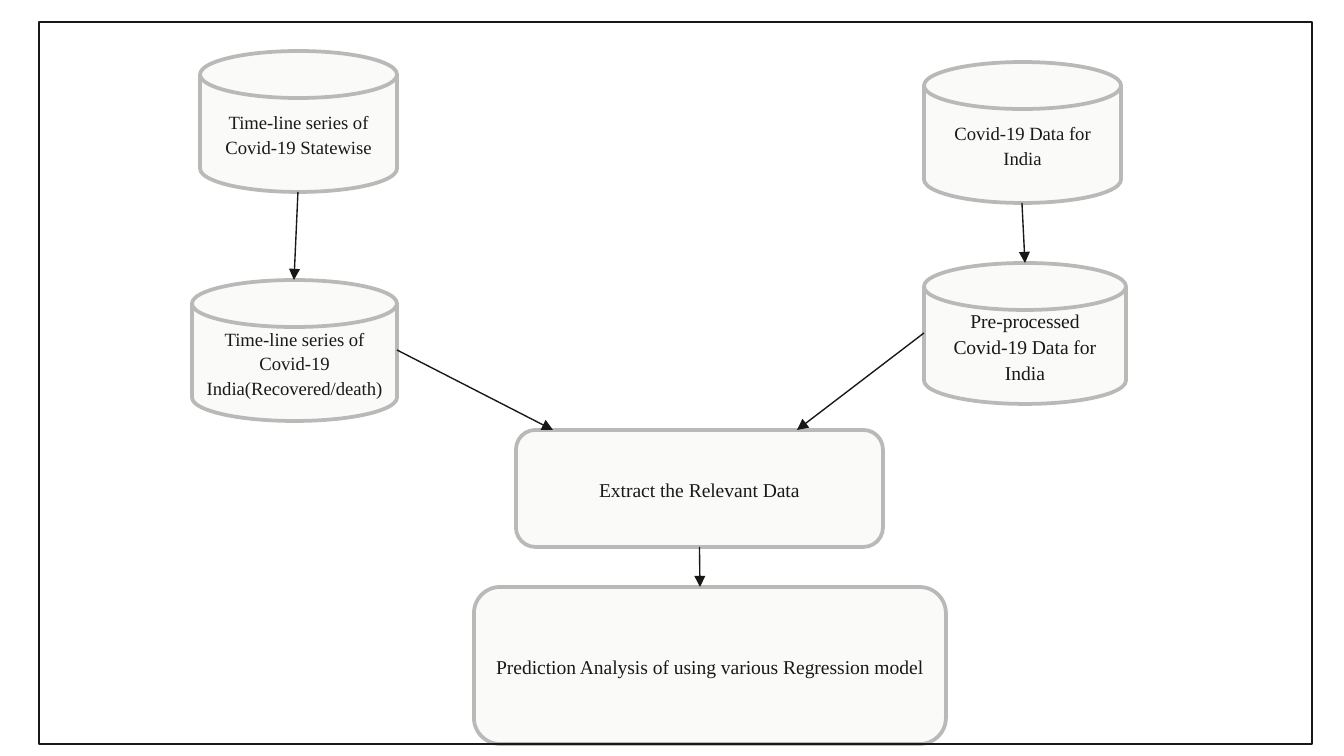
from dataclasses import dataclass

from lxml import etree
from pptx import Presentation
from pptx import util as u
from pptx.dml.color import RGBColor
from pptx.enum import shapes, text
from pptx.oxml.ns import qn


@dataclass(frozen=True)
class Theme:
    font: str = "Times New Roman"
    ink: str = "191919"
    arrow: str = "181818"
    fill: str = "FAFAF8"
    border: str = "B9B9B7"
    small: float = 10
    body: float = 10.5
    border_w: float = 2
    thin_w: float = 0.75


T = Theme()
SLIDE = (1344, 756)
FRAME = (39, 22, 1273, 722)
DISK_H = 141
DISK = shapes.MSO_SHAPE.FLOWCHART_MAGNETIC_DISK
BOX = shapes.MSO_SHAPE.ROUNDED_RECTANGLE

NODES = {
    "statewise": (DISK, (200, 51, 197, DISK_H), T.small,
                  "Time-line series of Covid-19 Statewise"),
    "india": (DISK, (924, 62, 197, DISK_H), T.small,
              "Covid-19 Data for India"),
    "recovered": (DISK, (192, 280, 205, DISK_H), T.small,
                  "Time-line series of Covid-19 India(Recovered/death)"),
    "extract": (BOX, (516, 430, 367, 117), T.body,
                "Extract the Relevant Data"),
    "prediction": (BOX, (474, 587, 472, 157), T.body,
                   "Prediction Analysis of using various Regression model"),
    "preprocessed": (DISK, (924, 263, 202, DISK_H), T.body,
                     "Pre-processed Covid-19 Data for India"),
}


def px(n):
    return u.Emu(round(n * u.Inches(10) / SLIDE[0]))


def rgb(value):
    return RGBColor.from_string(value)


def side(name, where):
    x, y, w, h = NODES[name][1]
    return {
        "top": (x + w // 2, y),
        "bottom": (x + w // 2, y + h),
        "left": (x, y + h // 2),
        "right": (x + w, y + h // 2),
    }[where]


def add_shape(s, kind, box, line, width):
    sp = s.shapes.add_shape(kind, *map(px, box))
    sp.shadow.inherit = False
    sp.line.color.rgb = rgb(line)
    sp.line.width = u.Pt(width)
    return sp


def add_node(s, kind, box, size, words):
    sp = add_shape(s, kind, box, T.border, T.border_w)
    sp.fill.solid()
    sp.fill.fore_color.rgb = rgb(T.fill)
    tf = sp.text_frame
    tf.word_wrap = True
    tf.vertical_anchor = text.MSO_ANCHOR.MIDDLE
    p = tf.paragraphs[0]
    p.alignment = text.PP_ALIGN.CENTER
    p.line_spacing = 1.1
    p.space_after = u.Pt(6)
    r = p.add_run()
    r.text = words
    r.font.name = T.font
    r.font.size = u.Pt(size)
    r.font.color.rgb = rgb(T.ink)
    return sp


def add_arrow(s, start, end):
    cx = s.shapes.add_connector(shapes.MSO_CONNECTOR.STRAIGHT,
                                *map(px, start + end))
    cx.line.color.rgb = rgb(T.arrow)
    cx.line.width = u.Pt(T.thin_w)
    etree.SubElement(cx.line._get_or_add_ln(), qn("a:tailEnd"), type="triangle")
    etree.SubElement(cx._element.spPr, qn("a:effectLst"))
    return cx


def main():
    prs = Presentation()
    prs.slide_width, prs.slide_height = map(px, SLIDE)
    s = prs.slides.add_slide(prs.slide_layouts[6])

    nodes = {name: add_node(s, *node) for name, node in NODES.items()}

    add_arrow(s, side("india", "bottom"), side("preprocessed", "top"))
    add_arrow(s, side("statewise", "bottom"), side("recovered", "top"))
    extract_top = side("extract", "top")[1]
    add_arrow(s, side("recovered", "right"), (553, extract_top))
    add_arrow(s, side("preprocessed", "left"), (797, extract_top))
    prediction_top = side("prediction", "top")[1]
    cx = add_arrow(s, side("extract", "bottom"), (700, prediction_top))
    cx.begin_connect(nodes["extract"], 2)

    frame = add_shape(s, shapes.MSO_SHAPE.RECTANGLE, FRAME, T.ink, T.thin_w)
    frame.fill.background()

    prs.save("out.pptx")


if __name__ == "__main__":
    main()
